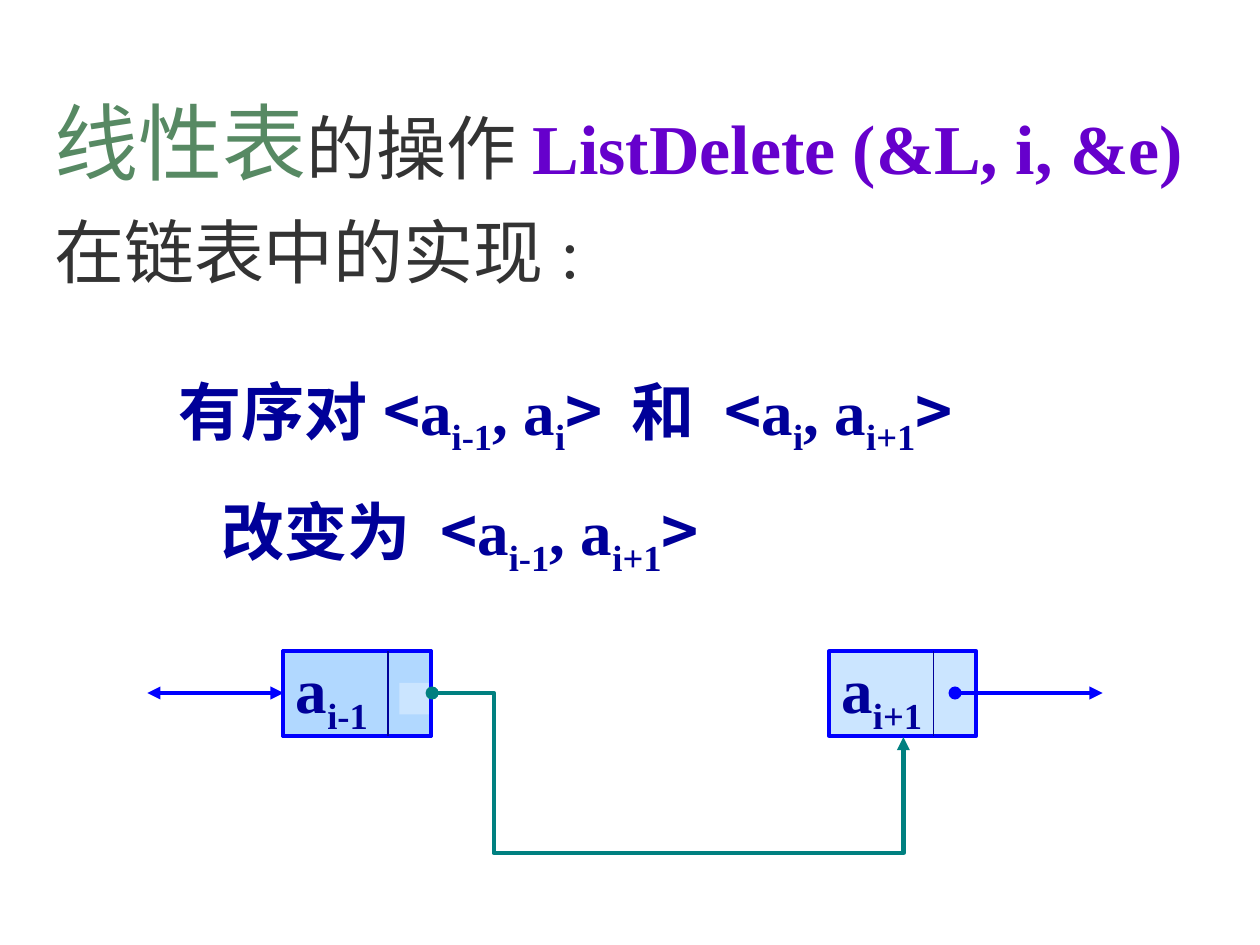
import pptx
import pptx.dml.color
import pptx.enum.shapes
import pptx.enum.text
import pptx.oxml
import pptx.oxml.ns
import pptx.util
import lxml.etree

Inches = pptx.util.Inches
SHAPES = pptx.enum.shapes.MSO_SHAPE
CONNECTORS = pptx.enum.shapes.MSO_CONNECTOR
ANCHORS = pptx.enum.text.MSO_ANCHOR

LATIN, CHINESE = "Times New Roman", "Noto Sans CJK SC"
NAVY, BLUE, SKY, TEAL, WHITE = "000099", "0000FF", "99CCFF", "008080", "FFFFFF"
PURPLE, GREEN, GREY = "6600CC", "578963", "333333"

NODE_WIDTH, NODE_HEIGHT = Inches(1.17), Inches(0.67)
DIVIDER = Inches(0.83)


def color(value):
    return pptx.dml.color.RGBColor.from_string(value)


def add_child(parent, tag, **attributes):
    child = lxml.etree.SubElement(parent, pptx.oxml.ns.qn(tag))
    for name, value in attributes.items():
        child.set(name, str(value))
    return child


def add_text(paragraph, text, size=36, fill=NAVY, bold=True, font=LATIN, subscript=False):
    run = paragraph.add_run()
    run.text = text
    run.font.size = pptx.util.Pt(size)
    run.font.bold = bold
    run.font.name = font
    run.font.color.rgb = color(fill)
    properties = run._r.get_or_add_rPr()
    add_child(properties, "a:ea", typeface=CHINESE)
    if subscript:
        properties.set("baseline", "-25000")


def add_item(paragraph, index):
    """Write the list element a with its index as a subscript."""
    add_text(paragraph, "a")
    add_text(paragraph, index, subscript=True)


def add_pair(paragraph, lead, first, second):
    """Write an ordered pair; lead ends with its opening bracket."""
    add_text(paragraph, lead, font=CHINESE)
    add_item(paragraph, first)
    add_text(paragraph, ", ")
    add_item(paragraph, second)


def prepare_placeholder(shape, left, top, width, height):
    shape.left, shape.top, shape.width, shape.height = left, top, width, height
    frame = shape.text_frame
    frame.word_wrap = True
    frame.auto_size = pptx.enum.text.MSO_AUTO_SIZE.NONE
    frame.vertical_anchor = ANCHORS.TOP
    return frame


def prepare_paragraph(paragraph, spacing, indent=0):
    paragraph.alignment = pptx.enum.text.PP_ALIGN.LEFT
    paragraph.line_spacing = spacing
    paragraph.space_before = pptx.util.Pt(0)
    properties = paragraph._p.get_or_add_pPr()
    properties.set("marL", str(indent))
    properties.set("indent", "0")
    add_child(properties, "a:buNone")


def fill_title(shape, left, top, width, height):
    frame = prepare_placeholder(shape, left, top, width, height)
    paragraph = frame.paragraphs[0]
    prepare_paragraph(paragraph, 1.2)
    add_text(paragraph, "线性表", size=48, fill=GREEN, bold=False)
    add_text(paragraph, "的操作", size=40, fill=GREY, bold=False)
    add_text(paragraph, "ListDelete (&L, i, &e)", size=40, fill=PURPLE)
    add_text(paragraph, "在链表中的实现:", size=40, fill=GREY, bold=False)


def fill_pairs(shape, left, top, width, height):
    frame = prepare_placeholder(shape, left, top, width, height)
    before = frame.paragraphs[0]
    prepare_paragraph(before, 1.4)
    add_pair(before, "有序对<", "i-1", "i")
    add_pair(before, "> 和 <", "i", "i+1")
    add_text(before, ">", font=CHINESE)
    after = frame.add_paragraph()
    prepare_paragraph(after, 1.4, Inches(0.34))
    add_pair(after, "改变为 <", "i-1", "i+1")
    add_text(after, ">", font=CHINESE)


def add_box(slide, left, top, width, height, fill, opacity=100, line=None):
    shape = slide.shapes.add_shape(SHAPES.RECTANGLE, left, top, width, height)
    shape.shadow.inherit = False
    shape.fill.solid()
    shape.fill.fore_color.rgb = color(fill)
    if opacity < 100:
        solid = shape._element.spPr.find(pptx.oxml.ns.qn("a:solidFill"))
        add_child(solid[0], "a:alpha", val=opacity * 1000)
    if line:
        shape.line.color.rgb = color(line)
        shape.line.width = pptx.util.Pt(2.25)
    else:
        shape.line.fill.background()
    return shape


def add_line(slide, start, end, fill, width=2.5, head=None, tail=None,
             kind=CONNECTORS.STRAIGHT):
    line = slide.shapes.add_connector(kind, *start, *end)
    line.line.color.rgb = color(fill)
    line.line.width = pptx.util.Pt(width)
    outline = line.line._get_or_add_ln()
    for tag, arrow in (("a:headEnd", head), ("a:tailEnd", tail)):
        if arrow:
            add_child(outline, tag, type=arrow)
    add_child(line._element.spPr, "a:effectLst")
    return line


def add_detour(slide, start, end, turn, bottom):
    """Lead a connector right to turn, down to bottom and back up to end."""
    line = add_line(slide, start, end, TEAL, head="oval", tail="triangle",
                    kind=CONNECTORS.ELBOW)
    geometry = line._element.spPr.find(pptx.oxml.ns.qn("a:prstGeom"))
    geometry.set("prst", "bentConnector4")
    for guide in list(geometry):
        geometry.remove(guide)
    guides = add_child(geometry, "a:avLst")
    ratios = ((turn - start[0]) / (end[0] - start[0]),
              (bottom - start[1]) / (end[1] - start[1]))
    for number, ratio in enumerate(ratios, 1):
        add_child(guides, "a:gd", name=f"adj{number}", fmla=f"val {round(ratio * 100000)}")


def add_node(slide, left, top, index):
    """Draw a list node with a data field and a pointer field."""
    box = add_box(slide, left, top, NODE_WIDTH, NODE_HEIGHT, SKY, opacity=50, line=BLUE)
    frame = box.text_frame
    frame.word_wrap = True
    frame.vertical_anchor = ANCHORS.MIDDLE
    frame.paragraphs[0].alignment = pptx.enum.text.PP_ALIGN.LEFT
    add_item(frame.paragraphs[0], index)
    divider = left + DIVIDER
    add_line(slide, (divider, top), (divider, top + NODE_HEIGHT), NAVY, width=0.75)


def draw_linked_list(slide, left, top):
    middle = top + Inches(0.33)
    previous, following = left + Inches(1.08), left + Inches(5.41)
    add_box(slide, previous, top, NODE_WIDTH, NODE_HEIGHT, SKY, opacity=50, line=BLUE)
    add_line(slide, (left, middle), (previous, middle), BLUE,
             head="triangle", tail="triangle")
    add_box(slide, previous + Inches(0.92), top + Inches(0.25),
            Inches(0.25), Inches(0.25), WHITE)
    add_node(slide, previous, top, "i-1")
    add_node(slide, following, top, "i+1")
    pointer = following + Inches(1)
    add_line(slide, (pointer, middle), (pointer + NODE_WIDTH, middle), BLUE,
             head="oval", tail="triangle")
    add_detour(slide, (previous + Inches(1.18), middle),
               (following + Inches(0.59), top + Inches(0.68)),
               turn=previous + Inches(1.67), bottom=top + Inches(1.6))


def main():
    presentation = pptx.Presentation()
    presentation.slide_width, presentation.slide_height = Inches(10), Inches(7.5)
    slide = presentation.slides.add_slide(presentation.slide_layouts[1])
    title, body = slide.placeholders
    fill_title(title, Inches(0.33), Inches(0.51), Inches(9.58), Inches(1.86))
    fill_pairs(body, Inches(1.32), Inches(2.63), Inches(6.6), Inches(2.01))
    draw_linked_list(slide, Inches(1.17), Inches(5.17))
    presentation.save("out.pptx")


if __name__ == "__main__":
    main()
